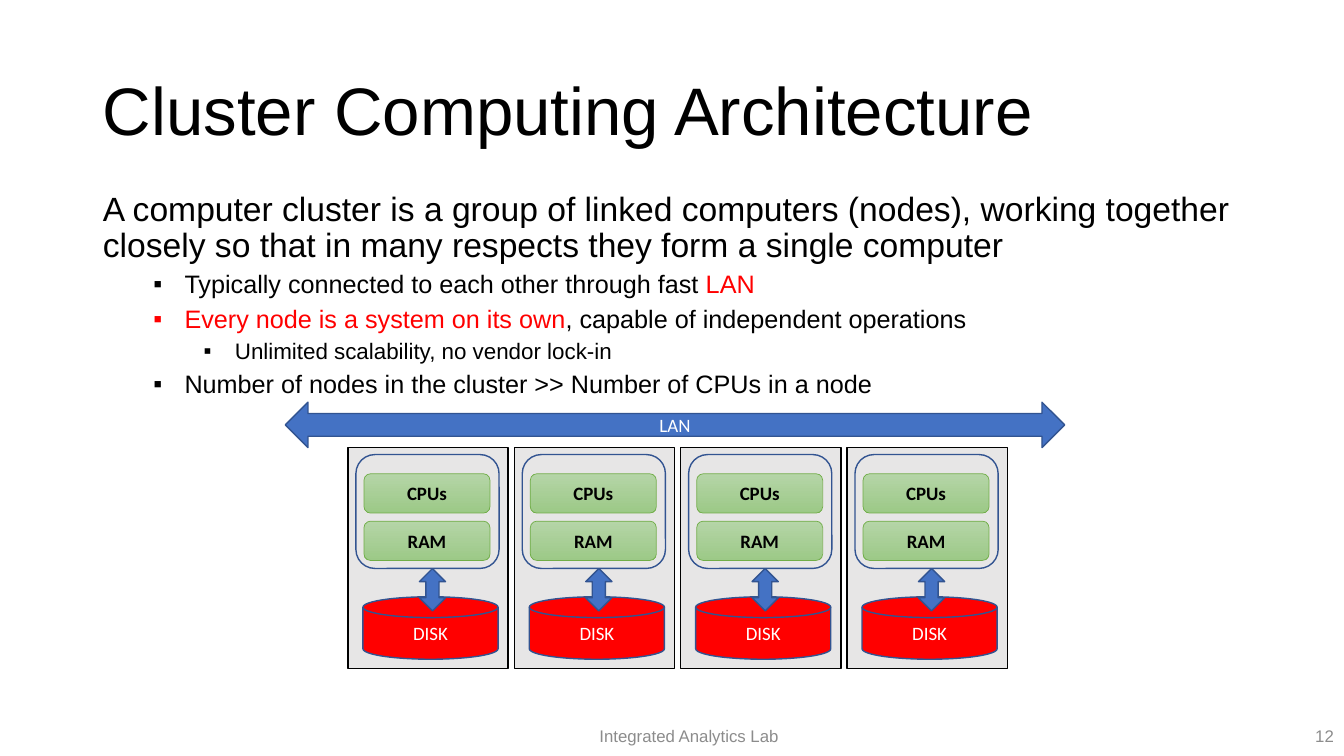
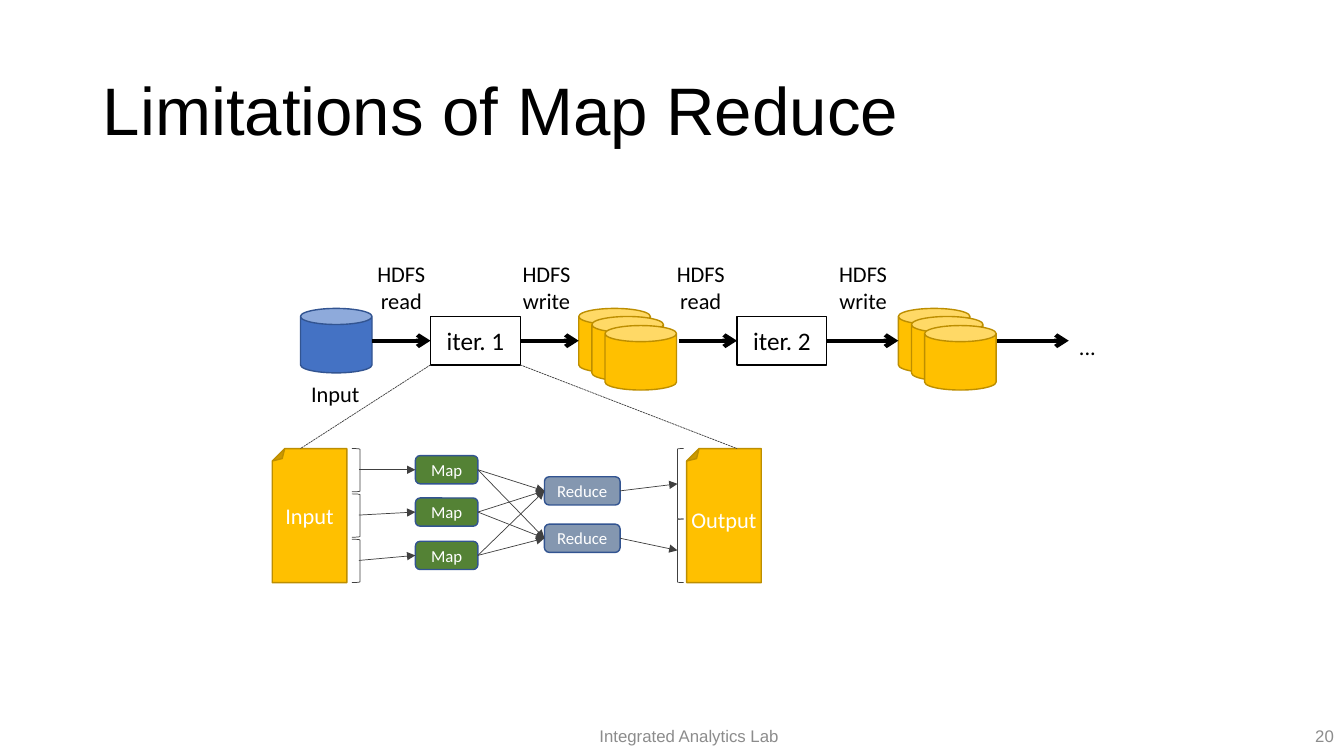
from lxml import etree
from pptx import Presentation
from pptx.dml.color import RGBColor
from pptx.enum.dml import MSO_LINE
from pptx.enum.shapes import MSO_CONNECTOR, MSO_SHAPE
from pptx.enum.text import MSO_ANCHOR, MSO_AUTO_SIZE, PP_ALIGN
from pptx.oxml.ns import qn
from pptx.util import Pt

PX = 9144
RECT = MSO_SHAPE.RECTANGLE
ROUND = MSO_SHAPE.ROUNDED_RECTANGLE
DISK = MSO_SHAPE.FLOWCHART_MAGNETIC_DISK
CAN = MSO_SHAPE.CAN
FOLD = MSO_SHAPE.FOLDED_CORNER
WIDE = MSO_SHAPE.LEFT_RIGHT_ARROW
TALL = MSO_SHAPE.UP_DOWN_ARROW
OPEN = MSO_SHAPE.LEFT_BRACKET
CLOSE = MSO_SHAPE.RIGHT_BRACKET
STRAIGHT = MSO_CONNECTOR.STRAIGHT
DASH = MSO_LINE.SQUARE_DOT
MIDDLE, TOP = MSO_ANCHOR.MIDDLE, MSO_ANCHOR.TOP
FIXED = MSO_AUTO_SIZE.NONE
LEFT, CENTER, RIGHT = PP_ALIGN.LEFT, PP_ALIGN.CENTER, PP_ALIGN.RIGHT

BLACK = RGBColor(0x00, 0x00, 0x00)
WHITE = RGBColor(0xFF, 0xFF, 0xFF)
RED = RGBColor(0xFF, 0x00, 0x00)
BLUE = RGBColor(0x44, 0x72, 0xC4)
NAVY = RGBColor(0x32, 0x54, 0x91)
GOLD = RGBColor(0xFF, 0xC0, 0x00)
BRONZE = RGBColor(0xBD, 0x8E, 0x00)
SILVER = RGBColor(0xE7, 0xE6, 0xE6)
GREY = RGBColor(0x8C, 0x8C, 0x8C)
COAL = RGBColor(0x40, 0x40, 0x40)
SLATE = RGBColor(0x84, 0x97, 0xB0)
FOREST = RGBColor(0x54, 0x82, 0x35)
LEAF = RGBColor(0x70, 0xAD, 0x47)
MINT = (RGBColor(0xB5, 0xD5, 0xA7), RGBColor(0x9C, 0xC9, 0x87))

SANS, HEAD = "Calibri", "Arial"
THIN, BOLD, FRAME = (COAL, 0.5), (BLACK, 3), (BLACK, 1)
TRIM, RIM, STEM = (NAVY, 1), (BRONZE, 1), (LEAF, 0.5)


def scale(*nums):
    """Turn px into EMU."""
    return [num * PX for num in nums]


def add_run(para, words, size, color, font=SANS, bold=False):
    """Add one formatted run."""
    run = para.add_run()
    run.text = words
    run.font.name, run.font.size, run.font.bold = font, Pt(size), bold
    run.font.color.rgb = color


def write(shape, words, size, color, font=SANS, bold=False, align=CENTER):
    """Fill a shape with middle-anchored text, one run a line."""
    frame = shape.text_frame
    frame.word_wrap, frame.vertical_anchor = True, MIDDLE
    frame.margin_left = frame.margin_right = 0
    para = frame.paragraphs[0]
    para.alignment = align
    for i, row in enumerate(words.split("\n")):
        if i:
            para.add_line_break()
        add_run(para, row, size, color, font, bold)


def label(tree, at, words, size=16, color=BLACK, font=SANS, align=CENTER):
    """Add a text box."""
    write(tree.add_textbox(*scale(*at)), words, size, color, font, align=align)


def form(tree, kind, at, fill, pen):
    """Add a preset shape with a solid, graded or empty fill."""
    shape = tree.add_shape(kind, *scale(*at))
    shape.shadow.inherit = False
    if fill is None:
        shape.fill.background()
    elif fill is MINT:
        shape.fill.gradient()
        shape.fill.gradient_angle = 270
        for stop, color in zip(shape.fill.gradient_stops, fill):
            stop.color.rgb = color
    else:
        shape.fill.solid()
        shape.fill.fore_color.rgb = fill
    shape.line.color.rgb, shape.line.width = pen[0], Pt(pen[1])
    return shape


def box(tree, kind, at, fill, pen, words, size, color=WHITE, bold=False):
    """Add a preset shape that holds text."""
    shape = form(tree, kind, at, fill, pen)
    write(shape, words, size, color, bold=bold)
    return shape


def wire(tree, start, end, pen, head=None, dash=None):
    """Link points, or the right side of a box to the left of the next."""
    ends = [e if isinstance(e, tuple) else (0, 0) for e in (start, end)]
    line = tree.add_connector(STRAIGHT, *scale(*ends[0], *ends[1]))
    if not isinstance(start, tuple):
        line.begin_connect(start, 3)
    if not isinstance(end, tuple):
        line.end_connect(end, 1)
    line.line.color.rgb, line.line.width = pen[0], Pt(pen[1])
    if dash:
        line.line.dash_style = dash
    props = line.element.spPr
    if head:
        etree.SubElement(props.find(qn("a:ln")), qn("a:tailEnd"), type=head)
    etree.SubElement(props, qn("a:effectLst"))


def place(holder, at, anchor):
    """Move a placeholder and return its text frame."""
    holder.left, holder.top, holder.width, holder.height = scale(*at)
    frame = holder.text_frame
    frame.auto_size, frame.vertical_anchor = FIXED, anchor
    frame.word_wrap = True
    return frame


def start(deck, layout, title, number):
    """Add a slide with its title, footer and number."""
    slide = deck.slides.add_slide(deck.slide_layouts[layout])
    frame = place(slide.shapes.title, (92, 40, 1150, 145), MIDDLE)
    para = frame.paragraphs[0]
    para.alignment, para.line_spacing = LEFT, 0.9
    add_run(para, title, 48, BLACK, HEAD)
    tree = slide.shapes
    label(tree, (540, 710, 287, 40), "Integrated Analytics Lab", 12, GREY, HEAD)
    label(tree, (1033, 710, 290, 40), number, 12, GREY, HEAD, RIGHT)
    return slide


def outline(holder, rows):
    """Fill the body with a lead line and its bullets."""
    frame = place(holder, (92, 186, 1150, 212), TOP)
    for i, (level, size, runs) in enumerate(rows):
        para = frame.add_paragraph() if i else frame.paragraphs[0]
        para.level = level
        props = para._p.get_or_add_pPr()
        margin, indent = (31 + 50 * level, -31) if level else (0, 0)
        props.set("marL", str(margin * PX))
        props.set("indent", str(indent * PX))
        if level:
            etree.SubElement(props, qn("a:buFont"), typeface=HEAD)
            etree.SubElement(props, qn("a:buChar"), char="▪")
        else:
            etree.SubElement(props, qn("a:buNone"))
        para.alignment, para.line_spacing = LEFT, 0.9
        para.space_before = Pt(5 if i else 0)
        for words, color in runs:
            add_run(para, words, size, color, HEAD)


def node(slide, x):
    """Draw one cluster node with its processors, memory and disk."""
    form(slide.shapes, RECT, (x, 444, 159, 219), SILVER, FRAME)
    tree = slide.shapes.add_group_shape().shapes
    for y, words in ((470, "CPUs"), (517, "RAM")):
        box(tree, ROUND, (x + 16, y, 125, 39), MINT, STEM, words, 13.5, BLACK, True)
    box(tree, DISK, (x + 15, 592, 134, 62), RED, TRIM, "DISK", 13.5)
    form(tree, TALL, (x + 71, 564, 26, 42), BLUE, TRIM)
    form(tree, ROUND, (x + 8, 451, 142, 113), None, TRIM)


def cluster(deck):
    """Build the cluster slide."""
    slide = start(deck, 1, "Cluster Computing Architecture", "12")
    outline(slide.placeholders[1], [
        (0, 24, [("A computer cluster is a group of linked computers (nodes), "
                  "working together closely so that in many respects they "
                  "form a single computer", BLACK)]),
        (1, 18, [("Typically connected to each other through fast ", BLACK),
                 ("LAN", RED)]),
        (1, 18, [("Every node is a system on its own", RED),
                 (", capable of independent operations", BLACK)]),
        (2, 16, [("Unlimited scalability, no vendor lock-in", BLACK)]),
        (1, 18, [("Number of nodes in the cluster >> "
                  "Number of CPUs in a node", BLACK)]),
    ])
    for i in range(4):
        node(slide, 345 + 165 * i)
    box(slide.shapes, WIDE, (283, 399, 773, 45), BLUE, TRIM, "LAN", 13.5)


def stack(slide, x):
    """Draw three overlapping cans."""
    tree = slide.shapes.add_group_shape().shapes
    for i in range(3):
        form(tree, CAN, (x + 13 * i, 306 + 17 * i // 2, 71, 64), GOLD, RIM)


def chain(slide):
    """Draw the row of iterations."""
    tree = slide.shapes
    form(tree, CAN, (298, 306, 71, 64), BLUE, TRIM)
    for x in (574, 891):
        stack(slide, x)
    first, second = [
        box(tree, RECT, (x, 314, 89, 48), WHITE, FRAME, words, 18, BLACK)
        for x, words in ((427, "iter. 1"), (731, "iter. 2"))]
    for a, b in (((369, 338), first), (first, (574, 338)),
                 ((673, 338), second), (second, (891, 338)),
                 ((989, 338), (1060, 338))):
        wire(tree, a, b, BOLD, "arrow")
    for x, verb in ((364, "read"), (508, "write"), (661, "read"), (822, "write")):
        label(tree, (x, 253, 68, 64), "HDFS\n" + verb)
    label(tree, (298, 372, 69, 37), "Input")
    label(tree, (1060, 325, 37, 37), "...")


def detail(slide):
    """Draw the steps inside one iteration."""
    tree = slide.shapes
    for x, y, words in ((270, 493, "Input"), (681, 497, "Output")):
        form(tree, FOLD, (x, 445, 74, 133), GOLD, RIM).rotation = 180
        label(tree, (x, y, 74, 37), words, color=WHITE)
    maps = [box(tree, ROUND, (412, 452 + 85 * i // 2, 62, 28), FOREST, TRIM, "Map", 12)
            for i in range(3)]
    sums = [box(tree, ROUND, (540, 473 + 47 * i, 75, 28), SLATE, TRIM, "Reduce", 12)
            for i in range(2)]
    for i, item in enumerate(maps):
        form(tree, CLOSE, (349, 445 + 45 * i, 8, 43), None, THIN)
        wire(tree, (356, 466 + 45 * i), item, THIN, "triangle")
        for goal in sums:
            wire(tree, item, goal, THIN, "triangle")
    for item, y, high in zip(sums, (445, 515), (70, 63)):
        form(tree, OPEN, (672, y, 6, high), None, THIN)
        wire(tree, item, (672, y + high // 2), THIN, "triangle")
    for x, goal in ((427, 298), (516, 731)):
        wire(tree, (x, 362), (goal, 445), THIN, dash=DASH)


def limits(deck):
    """Build the Map Reduce slide."""
    slide = start(deck, 5, "Limitations of Map Reduce", "20")
    chain(slide)
    detail(slide)


def main():
    """Build and save the deck."""
    deck = Presentation()
    deck.slide_width, deck.slide_height = scale(1333, 750)
    cluster(deck)
    limits(deck)
    deck.save("out.pptx")


if __name__ == "__main__":
    main()
